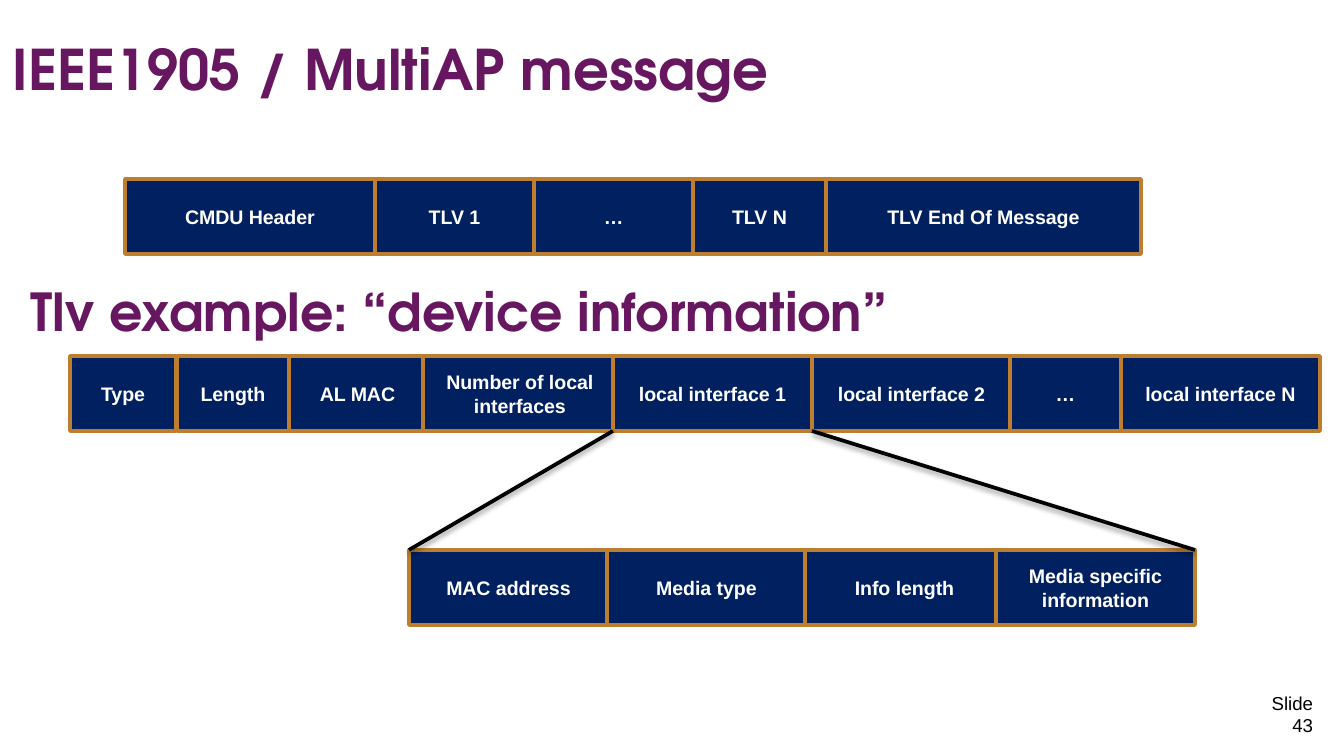
from lxml import etree
from pptx import Presentation
from pptx.dml.color import RGBColor
from pptx.enum.shapes import MSO_CONNECTOR, MSO_SHAPE
from pptx.enum.text import MSO_ANCHOR, PP_ALIGN
from pptx.oxml.ns import qn
from pptx.util import Pt

RECTANGLE = MSO_SHAPE.RECTANGLE
STRAIGHT = MSO_CONNECTOR.STRAIGHT
TOP, MIDDLE = MSO_ANCHOR.TOP, MSO_ANCHOR.MIDDLE
LEFT, CENTER, RIGHT = PP_ALIGN.LEFT, PP_ALIGN.CENTER, PP_ALIGN.RIGHT

# Content: lengths in px, each field is (text, left, width)
PAGE_SIZE = (1344, 756)
FIELD_HEIGHT = 75
HEADING_FONT, BODY_FONT = "TeX Gyre Adventor", "Arial"
PURPLE, NAVY, BRONZE = "671660", "002060", "BD7F2F"
WHITE, BLACK = "FFFFFF", "000000"

MESSAGE_TOP, TLV_TOP, INTERFACE_TOP = 179, 356, 550
MESSAGE = [
    ("CMDU Header", 125, 250),
    ("TLV 1", 375, 159),
    ("…", 534, 159),
    ("TLV N", 693, 133),
    ("TLV End Of Message", 826, 315),
]
TLV = [
    ("Type", 70, 106),
    ("Length", 177, 112),
    ("AL MAC", 289, 137),
    ("Number of local interfaces", 423, 194),
    ("local interface 1", 613, 199),
    ("local interface 2", 812, 199),
    ("…", 1010, 111),
    ("local interface N", 1121, 199),
]
INTERFACE = [
    ("MAC address", 409, 199),
    ("Media type", 607, 199),
    ("Info length", 805, 199),
    ("Media specific information", 996, 199),
]
EXPANDED_FIELD = 4


def px(length):
    return round(length * 914400 / 134.4)


def color(value):
    return RGBColor.from_string(value)


def write(box, text, size=10.5, font=BODY_FONT, fill=WHITE, bold=True,
          align=CENTER, anchor=MIDDLE, insets=None):
    frame = box.text_frame
    frame.word_wrap = True
    frame.vertical_anchor = anchor
    if insets:
        across, down = map(px, insets)
        frame.margin_left = frame.margin_right = across
        frame.margin_top = frame.margin_bottom = down
    para = frame.paragraphs[0]
    para.alignment = align
    span = para.add_run()
    span.text = text
    span.font.size = Pt(size)
    span.font.name = font
    span.font.bold = bold
    span.font.color.rgb = color(fill)


def add_text(page, text, left, top, width, height, **style):
    box = page.shapes.add_textbox(px(left), px(top), px(width), px(height))
    write(box, text, **style)


def add_fields(page, fields, top):
    for text, left, width in fields:
        box = page.shapes.add_shape(
            RECTANGLE, px(left), px(top), px(width), px(FIELD_HEIGHT))
        box.shadow.inherit = False
        box.fill.solid()
        box.fill.fore_color.rgb = color(NAVY)
        box.line.color.rgb = color(BRONZE)
        box.line.width = Pt(2)
        write(box, text)


def add_guide(page, start, end):
    guide = page.shapes.add_connector(STRAIGHT, *map(px, start + end))
    guide.line.color.rgb = color(BLACK)
    guide.line.width = Pt(2)
    # Soft shadow straight below the line
    effects = etree.SubElement(guide._element.spPr, qn("a:effectLst"))
    shadow = etree.SubElement(
        effects, qn("a:outerShdw"), blurRad=str(Pt(3.1)), dist=str(Pt(1.6)),
        dir="5400000", rotWithShape="0")
    tone = etree.SubElement(shadow, qn("a:srgbClr"), val=BLACK)
    etree.SubElement(tone, qn("a:alpha"), val="38000")


def main():
    deck = Presentation()
    deck.slide_width, deck.slide_height = map(px, PAGE_SIZE)
    page = deck.slides.add_slide(deck.slide_layouts[6])

    # Title and slide number
    add_text(page, "IEEE1905 / MultiAP message", 0, 22, 1344, 62, size=30,
             font=HEADING_FONT, fill=PURPLE, align=LEFT, anchor=TOP,
             insets=(13, 13))
    add_text(page, "Slide 43", 1246, 685, 80, 58, size=10, fill=BLACK,
             bold=False, align=RIGHT, insets=(13, 13))

    # Message and TLV layouts
    add_fields(page, MESSAGE, MESSAGE_TOP)
    add_fields(page, TLV, TLV_TOP)
    add_text(page, "Tlv example: “device information”", 22, 280, 1344, 62,
             size=28, font=HEADING_FONT, fill=PURPLE, align=LEFT,
             insets=(9, 5))
    add_fields(page, INTERFACE, INTERFACE_TOP)

    # Guides from the expanded field to its details
    _, left, width = TLV[EXPANDED_FIELD]
    _, last_left, last_width = INTERFACE[-1]
    bottom = TLV_TOP + FIELD_HEIGHT
    add_guide(page, (left, bottom), (INTERFACE[0][1], INTERFACE_TOP))
    add_guide(page, (left + width, bottom),
              (last_left + last_width, INTERFACE_TOP))

    deck.save("out.pptx")


if __name__ == "__main__":
    main()
